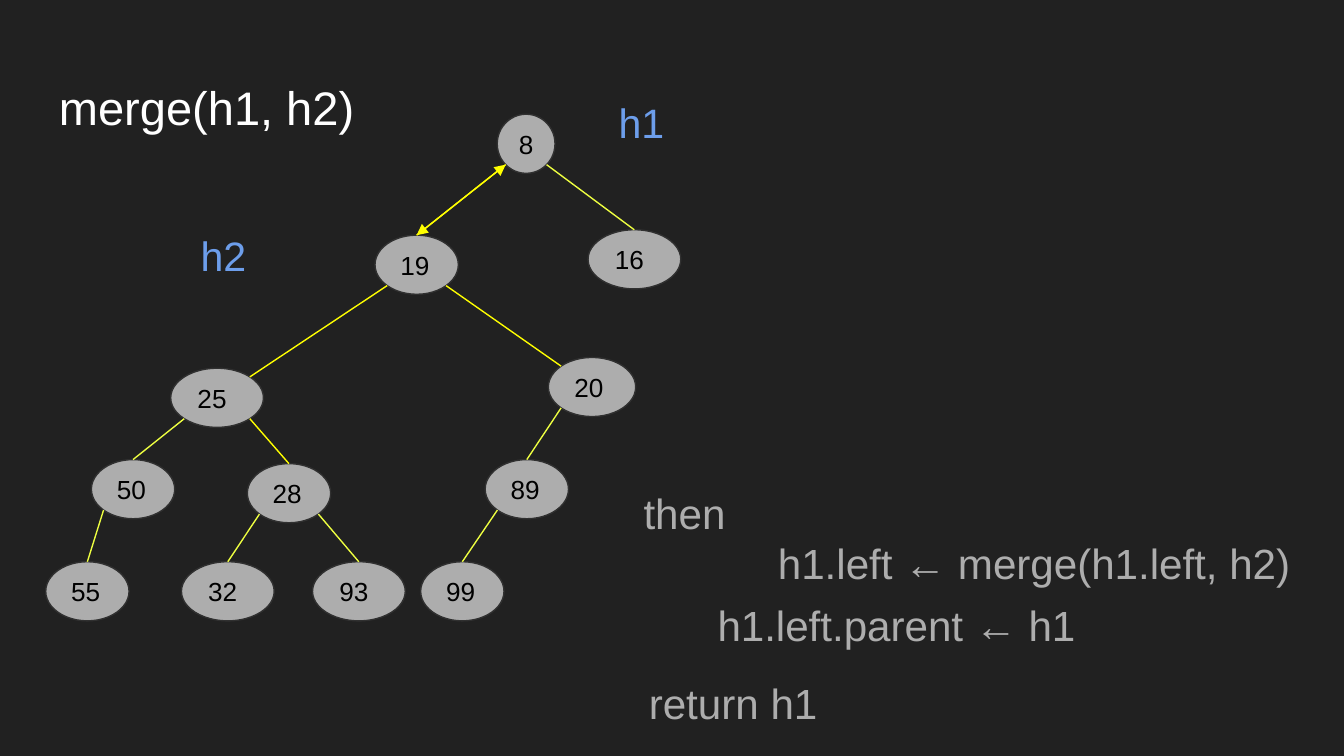
from lxml import etree
from pptx import Presentation
from pptx import util as u
from pptx.dml.color import RGBColor
from pptx.enum import shapes, text
from pptx.oxml.ns import qn

DARK = RGBColor(0x21, 0x21, 0x21)
EDGE = RGBColor(0x30, 0x30, 0x30)
GREY = RGBColor(0xAD, 0xAD, 0xAD)
BLACK = RGBColor(0, 0, 0)
WHITE = RGBColor(0xFF, 0xFF, 0xFF)
BLUE = RGBColor(0x6D, 0x9E, 0xEB)
LIME = RGBColor(0xEE, 0xFF, 0x41)
GOLD = RGBColor(0xFF, 0xFF, 0)

COLS, ROWS = 100, 56.25
TALL = 4.4
DIAG = 0.5 ** 0.5 / 2
SPOTS = {"top": (0, -0.5), "tl": (-DIAG, -DIAG), "tr": (DIAG, -DIAG),
         "bl": (-DIAG, DIAG), "br": (DIAG, DIAG)}

NODES = {
    "16": (43.75, 17.1, 6.9), "8": (37, 8.5, 4.3), "19": (27.9, 17.5, 6.2),
    "25": (12.7, 27.4, 6.9), "28": (18.4, 34.5, 6.2), "32": (13.5, 41.8, 6.9),
    "89": (36.1, 34.2, 6.2), "99": (31.3, 41.8, 6.2), "93": (23.25, 41.8, 6.9),
    "20": (40.8, 26.6, 6.5), "50": (6.8, 34.2, 6.2), "55": (3.4, 41.8, 6.2),
}
LINKS = [
    ("8", "br", "16", "top", LIME), ("25", "tr", "19", "bl", GOLD),
    ("19", "br", "20", "tl", GOLD), ("25", "br", "28", "top", GOLD),
    ("28", "bl", "32", "top", LIME), ("20", "bl", "89", "top", LIME),
    ("28", "br", "93", "top", LIME), ("89", "bl", "99", "top", LIME),
    ("25", "bl", "50", "top", LIME), ("50", "bl", "55", "top", LIME),
]
SWAPS = [("8", "bl", "19", "top", GOLD), ("19", "top", "8", "bl", GOLD)]
NOTES = [
    ("merge(h1, h2)", (3.4, 4.85, 26.9, 6.3), 25.2, WHITE, 0),
    ("h1", (45.05, 6.25, 7.4, 5.7), 22, BLUE, 0),
    ("h2", (13.95, 16.15, 8.3, 5.7), 22, BLUE, 0),
    ("then\n\th1.left ← merge(h1.left, h2)",
     (46.9, 35.25, 50.6, 12), 22.6, GREY, 12),
    ("h1.left.parent ← h1", (52.4, 43.6, 34.2, 5.8), 22.6, GREY, 12),
    ("return h1", (47.3, 49.4, 19.7, 5.8), 22.6, GREY, 12),
]


def write(frame, words, size=14, color=BLACK, after=0,
          anchor=text.MSO_ANCHOR.TOP):
    """Put left-aligned words in a frame with even margins."""
    frame.word_wrap = True
    frame.vertical_anchor = anchor
    frame.margin_left = frame.margin_right = u.Inches(0.1)
    frame.margin_top = frame.margin_bottom = u.Inches(0.1)
    para = frame.paragraphs[0]
    para.text = words
    para.alignment = text.PP_ALIGN.LEFT
    para.space_after = u.Pt(after)
    if "\t" in words:
        tabs = etree.SubElement(para._p.get_or_add_pPr(), qn("a:tabLst"))
        etree.SubElement(tabs, qn("a:tab"), pos=str(u.Inches(1)), algn="l")
    for run in para.runs:
        run.font.name = "Arial"
        run.font.size = u.Pt(size)
        run.font.color.rgb = color


class Board:
    """Holds the style and slide, and draws tree parts on a grid."""

    thin = u.Pt(0.75)

    def __init__(self, deck):
        self.slide = deck.slides.add_slide(deck.slide_layouts[6])
        self.col = deck.slide_width / COLS
        self.row = deck.slide_height / ROWS
        fill = self.slide.background.fill
        fill.solid()
        fill.fore_color.rgb = DARK

    def grid(self, x, y):
        return round(x * self.col), round(y * self.row)

    def node(self, key):
        x, y, wide = NODES[key]
        oval = self.slide.shapes.add_shape(
            shapes.MSO_SHAPE.OVAL, *self.grid(x, y), *self.grid(wide, TALL))
        oval.shadow.inherit = False
        oval.fill.solid()
        oval.fill.fore_color.rgb = GREY
        oval.line.color.rgb = EDGE
        oval.line.width = self.thin
        write(oval.text_frame, key, anchor=text.MSO_ANCHOR.MIDDLE)

    def spot(self, key, side):
        x, y, wide = NODES[key]
        dx, dy = SPOTS[side]
        return self.grid(x + wide * (0.5 + dx), y + TALL * (0.5 + dy))

    def link(self, start, out, end, into, color, arrow=False):
        line = self.slide.shapes.add_connector(
            shapes.MSO_CONNECTOR.STRAIGHT,
            *self.spot(start, out), *self.spot(end, into))
        line.line.color.rgb = color
        line.line.width = self.thin
        if arrow:
            tip = etree.SubElement(line.line._get_or_add_ln(), qn("a:tailEnd"))
            tip.set("type", "triangle")
        etree.SubElement(line._element.spPr, qn("a:effectLst"))

    def note(self, words, area, size, color, after):
        box = self.slide.shapes.add_textbox(
            *self.grid(*area[:2]), *self.grid(*area[2:]))
        write(box.text_frame, words, size=size, color=color, after=after)


def main():
    deck = Presentation()
    deck.slide_width = u.Inches(10)
    deck.slide_height = deck.slide_width * 9 // 16
    board = Board(deck)
    for key in NODES:
        board.node(key)
    for link in LINKS:
        board.link(*link)
    for swap in SWAPS:
        board.link(*swap, arrow=True)
    for note in NOTES:
        board.note(*note)
    deck.save("out.pptx")


if __name__ == "__main__":
    main()
